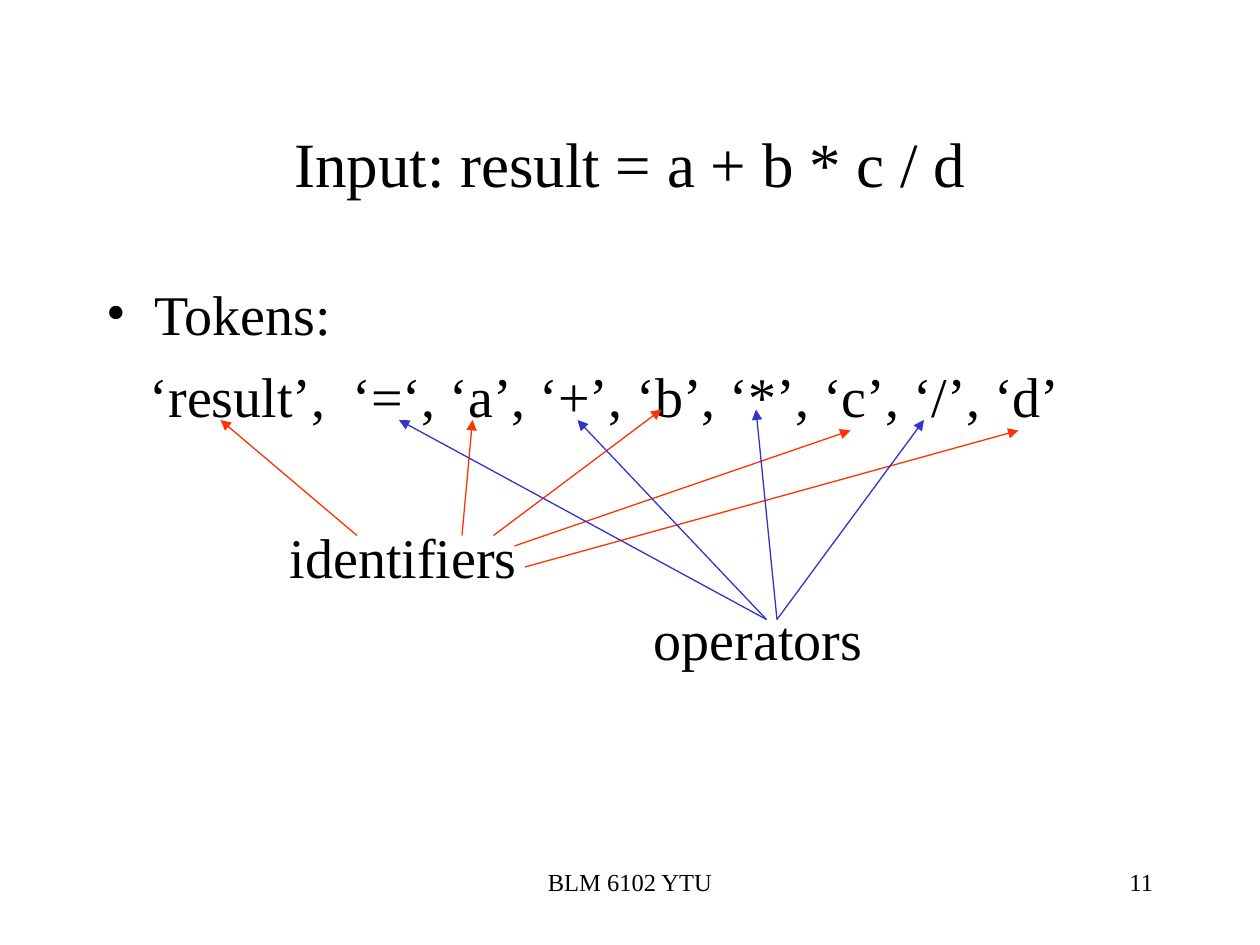
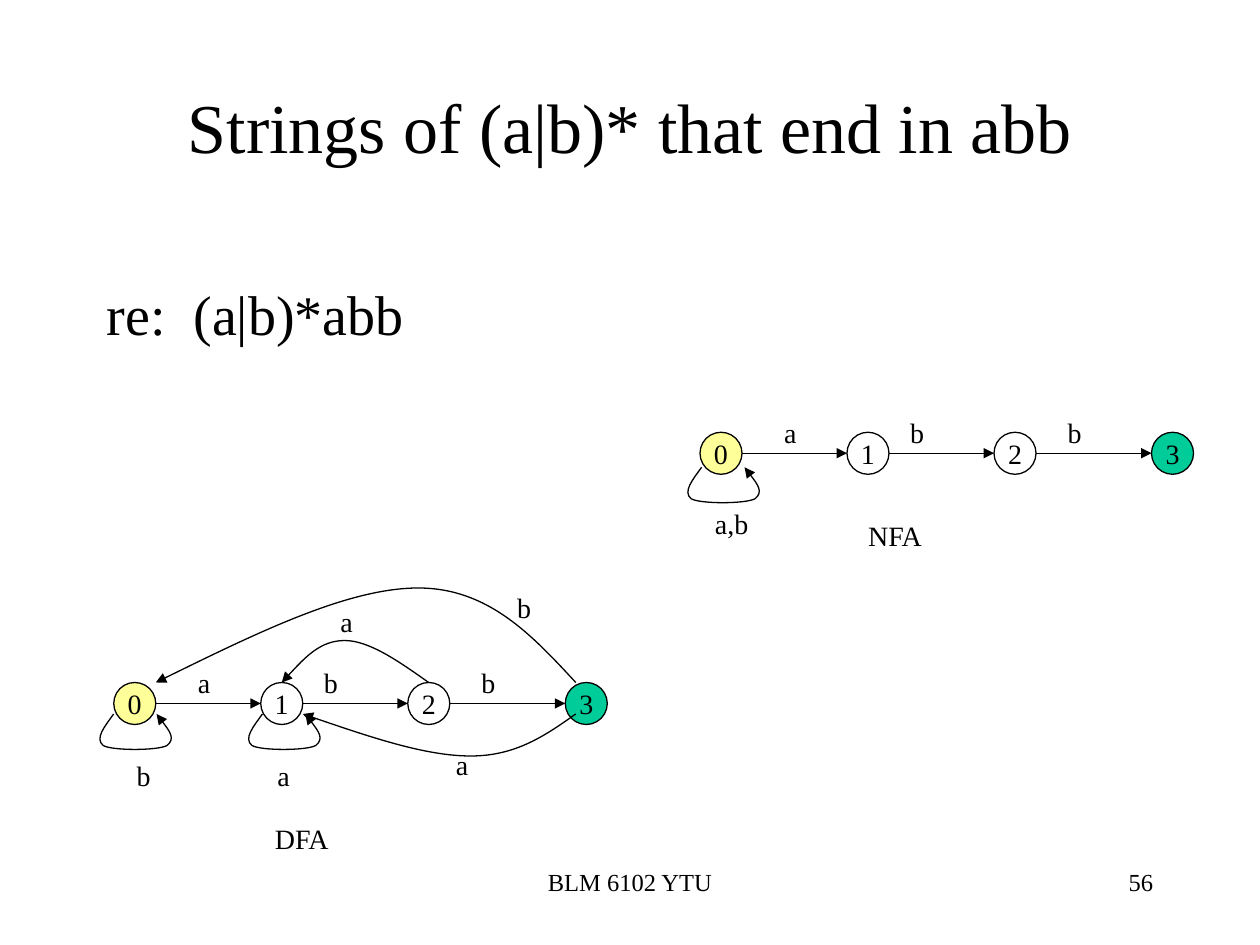
from lxml.etree import SubElement
from pptx import Presentation
from pptx.dml.color import RGBColor
from pptx.enum.shapes import MSO_CONNECTOR, MSO_SHAPE
from pptx.enum.text import MSO_ANCHOR, MSO_AUTO_SIZE, PP_ALIGN
from pptx.oxml.ns import qn
from pptx.util import Pt

BLACK = RGBColor(0x00, 0x00, 0x00)
RED = RGBColor(0xFF, 0x33, 0x00)
BLUE = RGBColor(0x33, 0x33, 0xCC)
YELLOW = RGBColor(0xFF, 0xFF, 0x99)
GREEN = RGBColor(0x00, 0xCC, 0x99)
FONT = "Times New Roman"
COURSE = "BLM 6102 YTU"

DIAMETER = 24
STATE_OFFSETS = (0, 84, 168, 258)
STATE_FILLS = (YELLOW, None, None, GREEN)
STEP_LABELS = (("a", 41), ("b", 113), ("b", 203))
LOOP = ((0, 0), (-5, 7), (-11, 14), (-6, 18), (-1, 21), (25, 21), (30.5, 18),
        (35.5, 14), (30, 7), (24.5, 0))


def style(paragraph, size, align=PP_ALIGN.LEFT):
    paragraph.alignment = align
    paragraph.font.name = FONT
    paragraph.font.size = Pt(size)
    paragraph.font.color.rgb = BLACK


def add_text(page, box, text, size, align=PP_ALIGN.LEFT, wrap=True):
    shape = page.shapes.add_textbox(*map(Pt, box))
    frame = shape.text_frame
    frame.word_wrap = wrap
    frame.text = text
    style(frame.paragraphs[0], size, align)
    return frame


def add_label(page, left, top, text, width=22):
    frame = add_text(page, (left, top, width, 26.5), text, 16, wrap=False)
    frame.auto_size = MSO_AUTO_SIZE.SHAPE_TO_FIT_TEXT


def set_bullet(paragraph, indent):
    properties = paragraph._p.get_or_add_pPr()
    properties.set("marL", str(Pt(indent)))
    properties.set("indent", str(Pt(-indent)))
    SubElement(properties, qn("a:buFont"), typeface=FONT)
    SubElement(properties, qn("a:buChar"), char="•")


def set_tabs(paragraph, *stops):
    tabs = SubElement(paragraph._p.get_or_add_pPr(), qn("a:tabLst"))
    for stop in stops:
        SubElement(tabs, qn("a:tab"), pos=str(Pt(stop)), algn="l")


def set_margin(paragraph, margin):
    paragraph._p.get_or_add_pPr().set("marL", str(Pt(margin)))


def style_arrow(shape, color):
    shape.line.color.rgb = color
    shape.line.width = Pt(0.75)
    SubElement(shape.line._get_or_add_ln(), qn("a:tailEnd"), type="triangle")


def add_arrow(page, start, end, color=BLACK):
    line = page.shapes.add_connector(MSO_CONNECTOR.STRAIGHT, *map(Pt, start + end))
    style_arrow(line, color)
    SubElement(line._element.spPr, qn("a:effectLst"))


def add_curve(page, left, top, curve):
    points = [(Pt(left + x), Pt(top + y)) for x, y in curve]
    builder = page.shapes.build_freeform(*points[0])
    builder.add_line_segments(points[1:], close=False)
    shape = builder.convert_to_shape()
    segments = list(shape._element.iter(qn("a:lnTo")))
    for bezier, *others in zip(segments[::3], segments[1::3], segments[2::3]):
        bezier.tag = qn("a:cubicBezTo")
        for other in others:
            bezier.append(other[0])
            other.getparent().remove(other)
    shape.shadow.inherit = False
    shape.fill.background()
    style_arrow(shape, BLACK)


def add_state(page, left, top, name, fill):
    circle = page.shapes.add_shape(MSO_SHAPE.OVAL, *map(Pt, (left, top, DIAMETER, DIAMETER)))
    circle.shadow.inherit = False
    if fill is None:
        circle.fill.background()
    else:
        circle.fill.solid()
        circle.fill.fore_color.rgb = fill
    circle.line.color.rgb = BLACK
    circle.line.width = Pt(0.75)
    frame = circle.text_frame
    frame.word_wrap = False
    frame.vertical_anchor = MSO_ANCHOR.MIDDLE
    frame.text = name
    style(frame.paragraphs[0], 16, PP_ALIGN.CENTER)


def add_page(deck, title, size, number, title_insets=(3.6, 3.6)):
    page = deck.slides.add_slide(deck.slide_layouts[6])
    add_text(page, (246, 492, 228, 36), COURSE, 14, PP_ALIGN.CENTER)
    add_text(page, (516, 492, 150, 36), number, 14, PP_ALIGN.RIGHT)
    frame = add_text(page, (54, 48, 612, 90), title, size, PP_ALIGN.CENTER)
    frame.vertical_anchor = MSO_ANCHOR.MIDDLE
    frame.margin_top, frame.margin_bottom = map(Pt, title_insets)
    return page


def add_token_list(page, box):
    frame = add_text(page, box, "Tokens:", 32)
    set_bullet(frame.paragraphs[0], 27)
    tokens, identifiers, operators = (frame.add_paragraph() for _ in range(3))
    tokens.text = "\t‘result’,\t‘=‘, ‘a’, ‘+’, ‘b’, ‘*’, ‘c’, ‘/’, ‘d’"
    set_tabs(tokens, 24.5, 140.5)
    identifiers.text = "identifiers"
    set_margin(identifiers, 104.5)
    operators.text = "operators"
    set_margin(operators, 312.5)
    for paragraph, gap in ((tokens, 8.5), (identifiers, 53.5), (operators, 8.5)):
        paragraph.space_before = Pt(gap)
        style(paragraph, 32)


def add_token_arrows(page):
    identifier_arrows = (((204, 306), (126, 240)), ((264, 306), (270, 240)),
                         ((282, 306), (378, 234)), ((294, 312), (486, 246)),
                         ((300, 324), (582, 246)))
    operator_arrows = (((438, 354), (228, 240)), ((438, 354), (330, 240)),
                       ((444, 354), (432, 234)), ((444, 354), (528, 240)))
    for arrows, color in ((identifier_arrows, RED), (operator_arrows, BLUE)):
        for start, end in arrows:
            add_arrow(page, start, end, color)


def add_automaton(page, left, top):
    middle = top + DIAMETER / 2
    for number, (offset, fill) in enumerate(zip(STATE_OFFSETS, STATE_FILLS)):
        add_state(page, left + offset, top, str(number), fill)
    for source, target in zip(STATE_OFFSETS, STATE_OFFSETS[1:]):
        add_arrow(page, (left + source + DIAMETER, middle), (left + target, middle))
    for text, offset in STEP_LABELS:
        add_label(page, left + offset, top - 13.25, text)


def add_nfa(page, left, top):
    add_automaton(page, left, top)
    add_curve(page, left + 1, top + 20, LOOP)
    add_label(page, left + 1.5, top + 39, "a,b", 36)
    add_label(page, left + 89, top + 46, "NFA", 46)


def add_dfa(page, left, top):
    add_automaton(page, left, top)
    for offset in (0, 85):
        add_curve(page, left + offset, top + 18, LOOP)
    back_arcs = (
        ((180, 0), (163, -12), (146, -24), (132, -24), (118, -24), (107, -12), (96, 0)),
        ((264, 0), (239, -27), (214, -54), (174, -54), (134, -54), (79, -27), (24, 0)),
        ((264, 18), (247, 30), (230, 42), (204, 42), (178, 42), (143, 30), (108, 18)),
    )
    for arc in back_arcs:
        add_curve(page, left, top, arc)
    for text, x, y in (("b", 6, 40), ("a", 86.5, 40), ("a", 122.5, -48),
                       ("b", 223.5, -56), ("a", 188.5, 33.5)):
        add_label(page, left + x, top + y, text)
    add_label(page, left + 85, top + 76, "DFA", 46)


def build_token_page(deck):
    page = add_page(deck, "Input: result = a + b * c / d", 36, "11")
    add_token_list(page, (54, 156, 612, 324))
    add_token_arrows(page)


def build_automata_page(deck):
    page = add_page(deck, "Strings of (a|b)* that end in abb", 40, "56", (0.75, 43))
    frame = page.shapes.add_textbox(*map(Pt, (54, 156, 612, 102))).text_frame
    frame.word_wrap = True
    expression = frame.paragraphs[0]
    expression.text = "re:\t(a|b)*abb"
    set_tabs(expression, 49.5)
    style(expression, 32)
    add_dfa(page, 65, 390)
    add_nfa(page, 400, 247)


def main():
    deck = Presentation()
    deck.slide_width, deck.slide_height = Pt(720), Pt(540)
    build_token_page(deck)
    build_automata_page(deck)
    deck.save("out.pptx")


if __name__ == "__main__":
    main()
